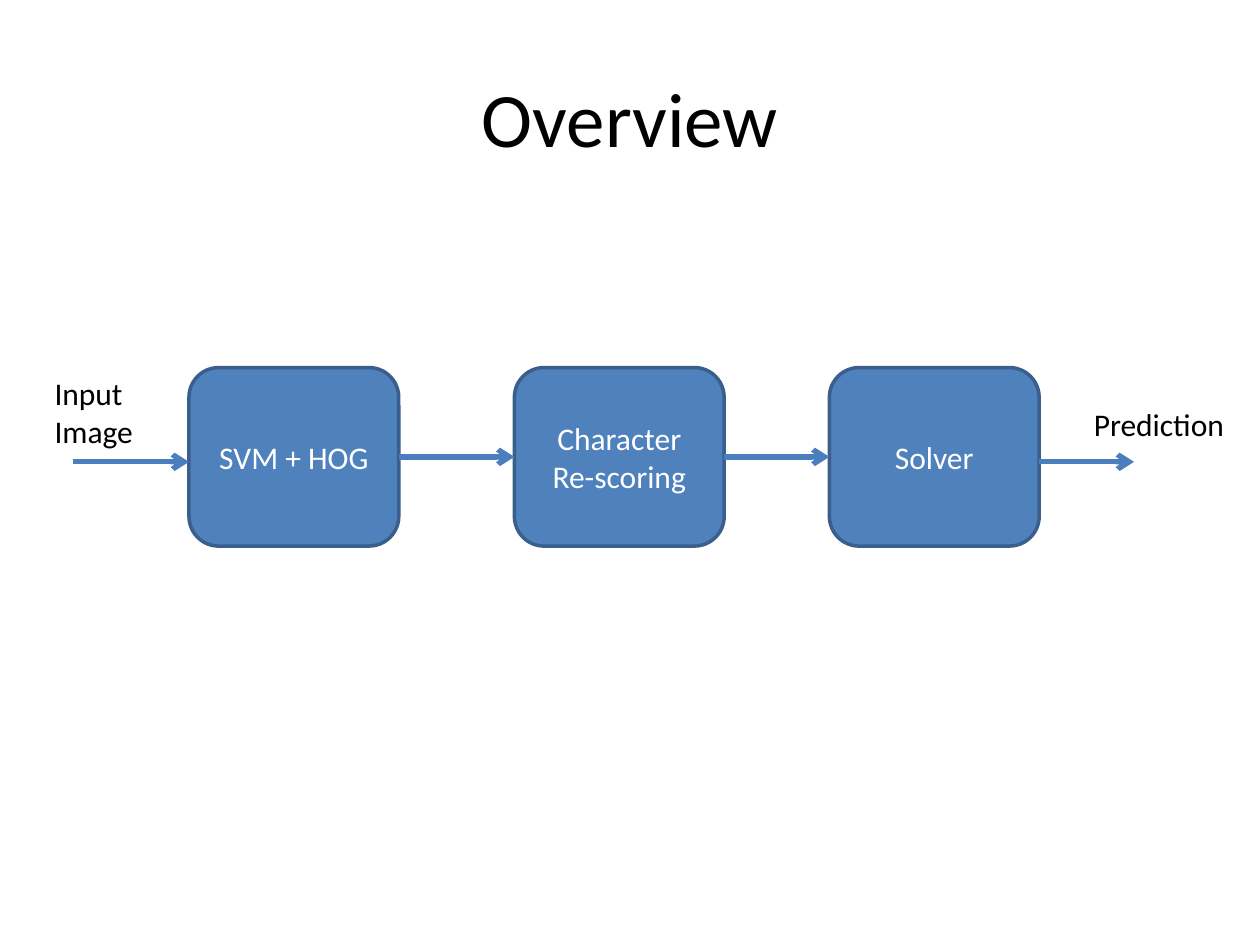
from pptx import Presentation
from pptx.dml.color import RGBColor
from pptx.enum import shapes, text
from pptx.oxml.ns import qn
from pptx.util import Cm, Pt
from lxml import etree

BLACK = RGBColor(0x00, 0x00, 0x00)
WHITE = RGBColor(0xFF, 0xFF, 0xFF)
BLUE = RGBColor(0x4F, 0x81, 0xBD)
DARK_BLUE = RGBColor(0x3A, 0x5F, 0x8C)
ARROW_BLUE = RGBColor(0x4B, 0x7E, 0xBC)
FONT = "Calibri"
STAGE_WIDTH = Cm(4.23)
STAGES = [("SVM + HOG", Cm(2.96)), ("Character Re-scoring", Cm(9.52)),
          ("Solver", Cm(15.87))]


def format_text(text_frame, size, color, alignment):
    for paragraph in text_frame.paragraphs:
        paragraph.alignment = alignment
        for run in paragraph.runs:
            run.font.name = FONT
            run.font.size = Pt(size)
            run.font.color.rgb = color


def add_title(slide, left, top, width, height):
    title = slide.shapes.title
    title.left, title.top, title.width, title.height = left, top, width, height
    title.text_frame.text = "Overview"
    title.text_frame.vertical_anchor = text.MSO_ANCHOR.MIDDLE
    format_text(title.text_frame, 44, BLACK, text.PP_ALIGN.CENTER)


def add_stage(slide, caption, left, top, height):
    stage = slide.shapes.add_shape(
        shapes.MSO_SHAPE.ROUNDED_RECTANGLE, left, top, STAGE_WIDTH, height)
    stage.shadow.inherit = False
    stage.fill.solid()
    stage.fill.fore_color.rgb = BLUE
    stage.line.color.rgb = DARK_BLUE
    stage.line.width = Pt(2)
    stage.text_frame.text = caption
    stage.text_frame.word_wrap = True
    stage.text_frame.vertical_anchor = text.MSO_ANCHOR.MIDDLE
    format_text(stage.text_frame, 18, WHITE, text.PP_ALIGN.CENTER)
    return stage


def add_arrow(slide, start, end, y):
    arrow = slide.shapes.add_connector(
        shapes.MSO_CONNECTOR.STRAIGHT, start, y, end, y)
    arrow.line.color.rgb = ARROW_BLUE
    arrow.line.width = Pt(3)
    # Arrowhead, and no shadow
    etree.SubElement(arrow.line._get_or_add_ln(), qn("a:tailEnd"), type="arrow")
    etree.SubElement(arrow._element.spPr, qn("a:effectLst"))
    return arrow


def add_label(slide, caption, left, top, width, height):
    label = slide.shapes.add_textbox(left, top, width, height)
    label.text_frame.word_wrap = True
    label.text_frame.text = caption
    format_text(label.text_frame, 18, BLACK, text.PP_ALIGN.LEFT)


def add_pipeline(slide, left, top, width, height):
    # Stages
    stages = [add_stage(slide, caption, left + offset, top, height)
              for caption, offset in STAGES]

    # Arrows between neighbouring stages
    for source, target in zip(stages, stages[1:]):
        arrow = add_arrow(slide, source.left + STAGE_WIDTH, target.left,
                          top + height // 2)
        arrow.begin_connect(source, 3)
        arrow.end_connect(target, 1)

    # Input and output, with arrows slightly below the middle of the stages
    outer_y = top + Cm(1.9)
    add_arrow(slide, left + Cm(0.63), stages[0].left, outer_y)
    add_label(slide, "Input\nImage", left, top, Cm(2.54), Cm(1.8))
    output_left = left + width - Cm(3.2)
    add_label(slide, "Prediction", output_left, top + Cm(0.64), Cm(3.2), Cm(1.02))
    add_arrow(slide, stages[-1].left + STAGE_WIDTH, output_left + Cm(1.06), outer_y)


def main():
    presentation = Presentation()
    presentation.slide_width = Cm(25.4)
    presentation.slide_height = Cm(19.05)
    slide = presentation.slides.add_slide(presentation.slide_layouts[5])
    add_title(slide, Cm(1.27), Cm(0.76), Cm(22.86), Cm(3.18))
    add_pipeline(slide, Cm(0.85), Cm(7.41), Cm(24.15), Cm(3.6))
    presentation.save("out.pptx")


if __name__ == "__main__":
    main()
